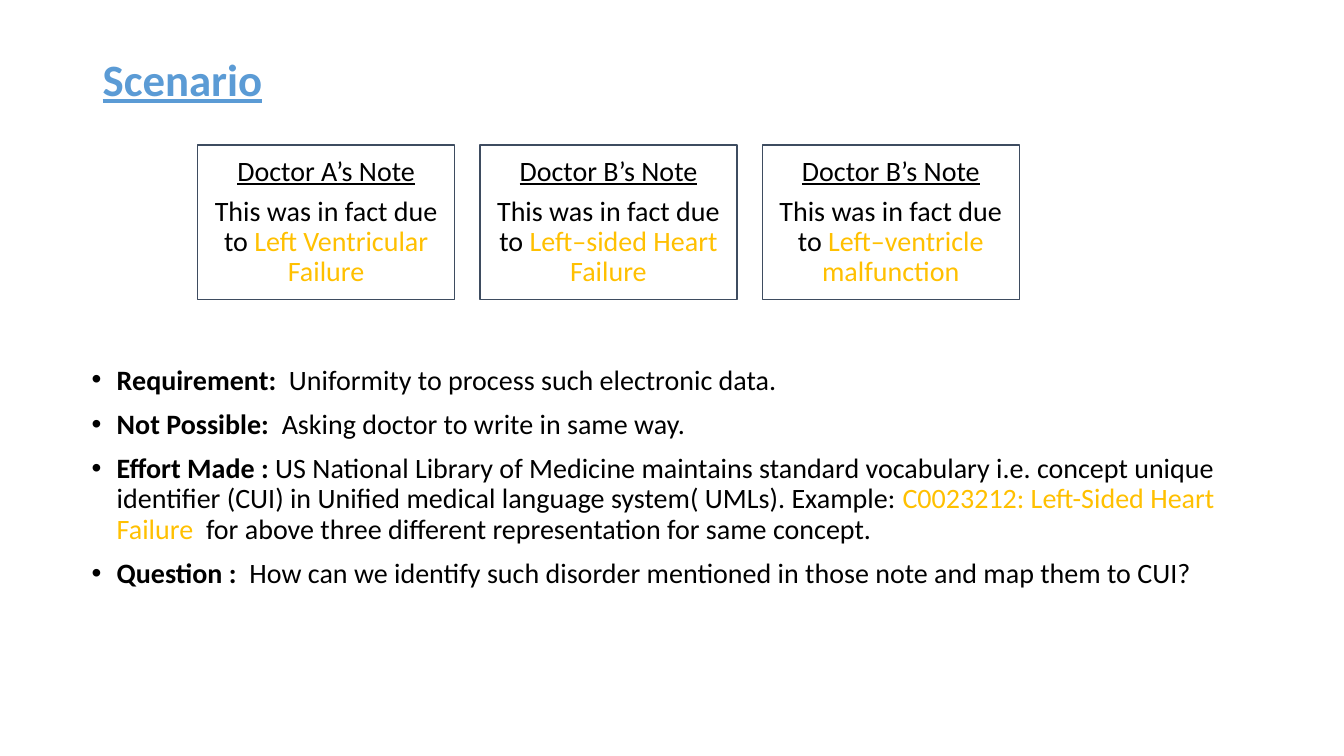
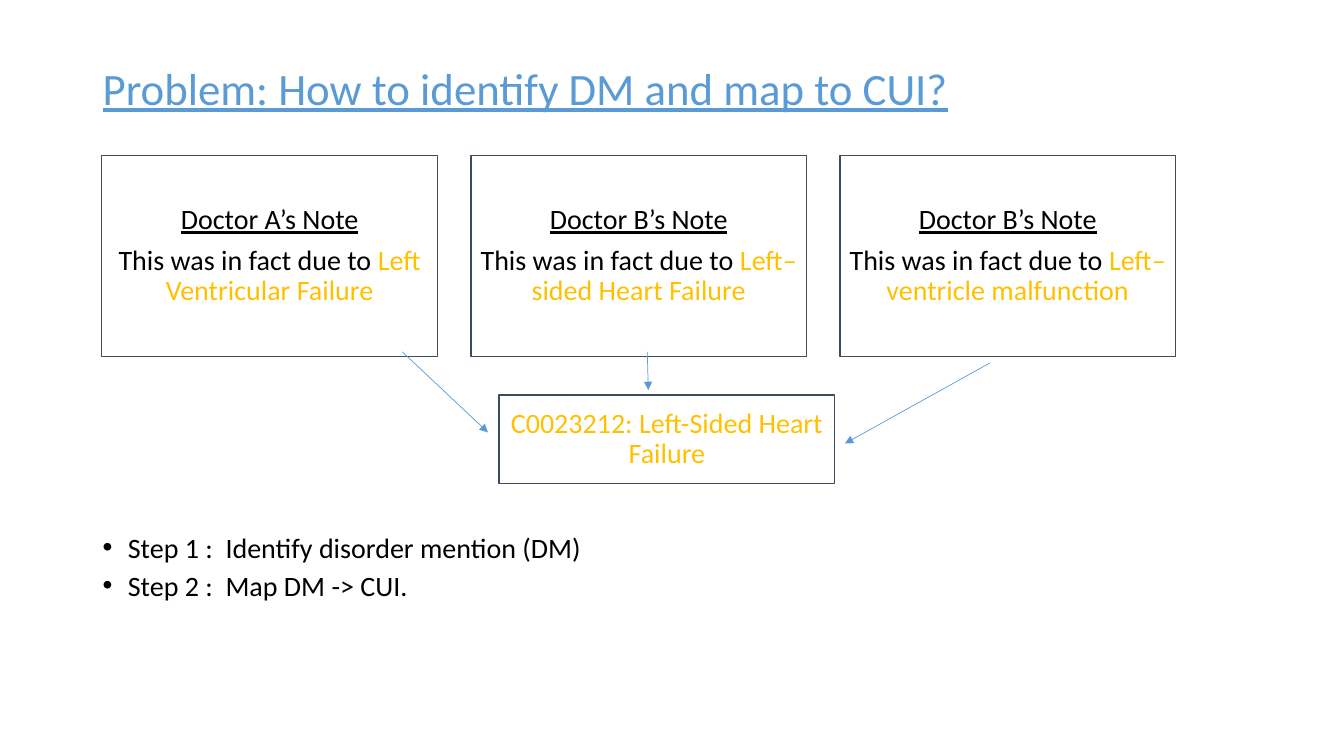
from lxml import etree
from pptx import Presentation
from pptx.dml.color import RGBColor
from pptx.enum.shapes import MSO_CONNECTOR, MSO_SHAPE
from pptx.enum.text import MSO_ANCHOR, PP_ALIGN
from pptx.oxml.ns import qn
from pptx.util import Inches, Pt

RECTANGLE = MSO_SHAPE.RECTANGLE
STRAIGHT = MSO_CONNECTOR.STRAIGHT
MIDDLE, TOP = MSO_ANCHOR.MIDDLE, MSO_ANCHOR.TOP
LEFT, CENTER = PP_ALIGN.LEFT, PP_ALIGN.CENTER

BLUE = RGBColor(0x5B, 0x9B, 0xD5)
SLATE = RGBColor(0x3E, 0x4C, 0x60)
GOLD = RGBColor(0xFF, 0xC0, 0x00)
BLACK = RGBColor(0x00, 0x00, 0x00)
WHITE = RGBColor(0xFF, 0xFF, 0xFF)

FONT = "Calibri"
PLAIN = {}
BOLD = {"bold": True}
UNDERLINED = {"underline": True}
HIGHLIGHT = {"color": GOLD}
BOX_FORMAT = {"alignment": CENTER, "line_spacing": 0.9, "space_after": Pt(7)}

CONCEPT = "C0023212: Left-Sided Heart Failure"
NOTES = [
    ("Doctor A’s Note", "Left Ventricular Failure"),
    ("Doctor B’s Note", "Left–sided Heart Failure"),
    ("Doctor B’s Note", "Left–ventricle malfunction"),
]


class Deck:
    """Hold the shared style and the slide being filled."""

    def __init__(self):
        """Start an empty widescreen presentation."""
        self.presentation = Presentation()
        self.presentation.slide_width = Inches(13.33)
        self.presentation.slide_height = Inches(7.5)
        self.slide = None

    def add_slide(self):
        """Add a blank slide and make it current."""
        layout = self.presentation.slide_layouts[6]
        self.slide = self.presentation.slides.add_slide(layout)

    def fill_frame(self, frame, paragraphs, paragraph_format, anchor, size=20):
        """Fill a text frame with paragraphs, each a list of (text, format)."""
        frame.word_wrap = True
        frame.vertical_anchor = anchor
        for index, runs in enumerate(paragraphs):
            paragraph = frame.add_paragraph() if index else frame.paragraphs[0]
            for name, value in paragraph_format.items():
                setattr(paragraph, name, value)
            for text, changes in runs:
                run = paragraph.add_run()
                run.text = text
                values = {"name": FONT, "size": Pt(size), "color": BLACK, **changes}
                run.font.color.rgb = values.pop("color")
                for name, value in values.items():
                    setattr(run.font, name, value)

    def text(self, area, paragraphs, paragraph_format, anchor=TOP, size=20):
        """Add a text box and return its text frame."""
        box = self.slide.shapes.add_textbox(*map(Inches, area))
        self.fill_frame(box.text_frame, paragraphs, paragraph_format, anchor, size)
        return box.text_frame

    def title(self, text, top, height, **changes):
        """Add the underlined blue slide title."""
        style = {"color": BLUE, "underline": True, **changes}
        self.text((0.92, top, 11.5, height), [[(text, style)]],
                  {"alignment": LEFT, "line_spacing": 0.9}, MIDDLE, 32)

    def bullets(self, area, paragraphs, line_spacing):
        """Add a bulleted list with hanging indents."""
        frame = self.text(area, paragraphs,
                          {"line_spacing": line_spacing, "space_before": Pt(10)})
        for paragraph in frame.paragraphs:
            properties = paragraph._p.get_or_add_pPr()
            properties.set("marL", str(Inches(0.25)))
            properties.set("indent", str(Inches(-0.25)))
            etree.SubElement(properties, qn("a:buFont")).set("typeface", "Arial")
            etree.SubElement(properties, qn("a:buChar")).set("char", "•")

    def box(self, area, paragraphs):
        """Add an outlined white box with centred text."""
        shape = self.slide.shapes.add_shape(RECTANGLE, *map(Inches, area))
        shape.shadow.inherit = False
        shape.fill.solid()
        shape.fill.fore_color.rgb = WHITE
        shape.line.color.rgb = SLATE
        shape.line.width = Pt(1)
        frame = shape.text_frame
        for side in ("left", "top", "right", "bottom"):
            setattr(frame, f"margin_{side}", Inches(0.08))
        self.fill_frame(frame, paragraphs, BOX_FORMAT, MIDDLE)

    def note_row(self, left, top, width, height, gap):
        """Add the doctors' notes as equally spaced boxes."""
        for index, (heading, disorder) in enumerate(NOTES):
            self.box((left + index * (width + gap), top, width, height), [
                [(heading, UNDERLINED)],
                [("This was in fact due to ", PLAIN), (disorder, HIGHLIGHT)],
            ])

    def arrow(self, start, end):
        """Add a thin arrow from start to end."""
        connector = self.slide.shapes.add_connector(
            STRAIGHT, *map(Inches, start + end))
        connector.line.color.rgb = BLUE
        connector.line.width = Pt(0.5)
        properties = connector._element.spPr
        line = properties.find(qn("a:ln"))
        etree.SubElement(line, qn("a:tailEnd")).set("type", "triangle")
        etree.SubElement(properties, qn("a:effectLst"))


def scenario_slide(deck):
    """Build the slide with the three notes and the requirement."""
    deck.add_slide()
    deck.title("Scenario", 0.48, 0.67, bold=True)
    deck.note_row(1.96, 1.44, 2.55, 1.53, 0.25)
    deck.bullets((0.81, 3.58, 11.5, 2.52), [
        [("Requirement:  ", BOLD),
         ("Uniformity to process such electronic data.", PLAIN)],
        [("Not Possible:  ", BOLD),
         ("Asking doctor to write in same way.", PLAIN)],
        [("Effort Made : ", BOLD),
         ("US National Library of Medicine maintains standard vocabulary i.e. "
          "concept unique identifier (CUI) in Unified medical language "
          "system( UMLs). Example: ", PLAIN),
         (CONCEPT + "  ", HIGHLIGHT),
         ("for above three different representation for same concept.", PLAIN)],
        [("Question :  ", BOLD),
         ("How can we identify such disorder mentioned in those note and map "
          "them to CUI?", PLAIN)],
    ], 0.9)


def problem_slide(deck):
    """Build the slide that maps the three notes to one concept."""
    deck.add_slide()
    deck.title("Problem: How to identify DM and map to CUI?", 0.4, 1)
    deck.note_row(1.01, 1.54, 3.33, 2, 0.33)
    deck.box((4.95, 3.92, 3.33, 0.88), [[(CONCEPT, HIGHLIGHT)]])
    deck.bullets((0.92, 5.31, 11.5, 0.86), [
        [("Step 1 :  Identify disorder mention (DM)", PLAIN)],
        [("Step 2 :  Map DM -> CUI.", PLAIN)],
    ], 0.7)
    for start, end in [((3.99, 3.49), (4.84, 4.29)),
                       ((6.42, 3.49), (6.43, 3.87)),
                       ((9.82, 3.6), (8.38, 4.4))]:
        deck.arrow(start, end)


deck = Deck()
scenario_slide(deck)
problem_slide(deck)
deck.presentation.save("out.pptx")
